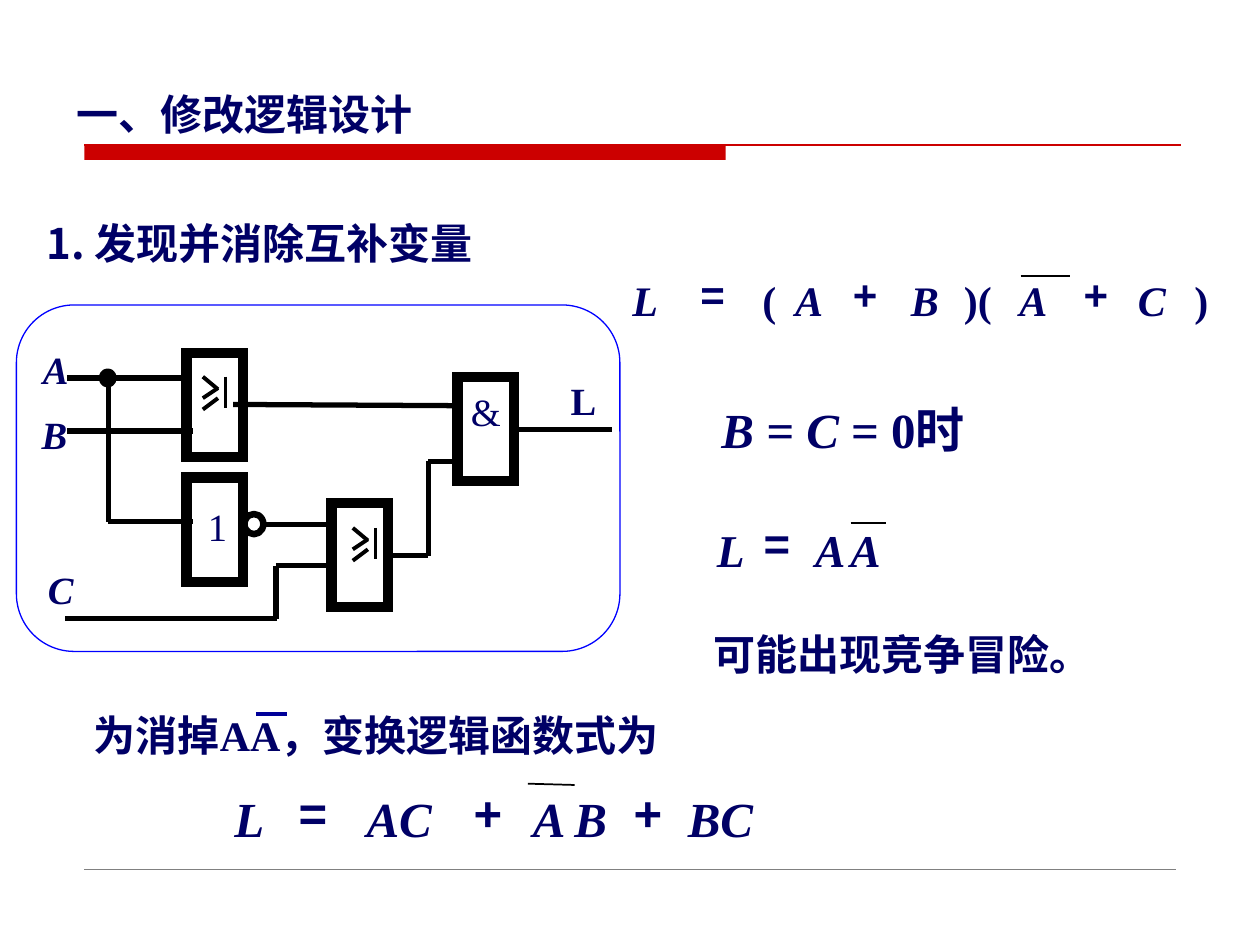
from pptx import Presentation
from pptx.dml.color import RGBColor
from pptx.enum.shapes import MSO_CONNECTOR, MSO_SHAPE
from pptx.enum.text import MSO_ANCHOR, PP_ALIGN
from pptx.oxml.ns import qn
from pptx.util import Pt
from lxml import etree

PX = 9144  # 100 px to the inch
STRAIGHT = MSO_CONNECTOR.STRAIGHT
RECTANGLE, ROUNDED, OVAL = MSO_SHAPE.RECTANGLE, MSO_SHAPE.ROUNDED_RECTANGLE, MSO_SHAPE.OVAL
LEFT, CENTER = PP_ALIGN.LEFT, PP_ALIGN.CENTER
SERIF, SANS, CHINESE = "Times New Roman", "Arial", "Noto Sans CJK SC"
COLORS = {"text": "000066", "red": "CC0000", "rule": "808080", "frame": "0000FF",
          "wire": "000000", "bar": "000099"}

presentation = Presentation()
presentation.slide_width, presentation.slide_height = 1000 * PX, 750 * PX
slide = presentation.slides.add_slide(presentation.slide_layouts[6])


def add_line(x1, y1, x2, y2, width=3, color="wire"):
    line = slide.shapes.add_connector(STRAIGHT, x1 * PX, y1 * PX, x2 * PX, y2 * PX)
    line.line.width = Pt(width)
    line.line.color.rgb = RGBColor.from_string(COLORS[color])
    etree.SubElement(line._element.spPr, qn("a:effectLst"))


def add_text(text, left, top, width, height, size, font=SERIF, align=LEFT,
             bold=True, italic=False, inset=0, wrap=False):
    box = slide.shapes.add_textbox(left * PX, top * PX, width * PX, height * PX)
    frame = box.text_frame
    frame.word_wrap = wrap
    frame.margin_left = frame.margin_right = 2 * inset * PX
    frame.margin_top = frame.margin_bottom = inset * PX
    paragraph = frame.paragraphs[0]
    paragraph.text = text
    paragraph.alignment = align
    paragraph.font.name = font
    paragraph.font.size = Pt(size)
    paragraph.font.bold, paragraph.font.italic = bold, italic
    paragraph.font.color.rgb = RGBColor.from_string(COLORS["text"])
    latin = paragraph._p.pPr.find(qn("a:defRPr")).find(qn("a:latin"))
    latin.addnext(etree.Element(qn("a:ea"), typeface=CHINESE))
    return box


# Title bar and footer rule
bar = slide.shapes.add_shape(RECTANGLE, 67 * PX, 115 * PX, 509 * PX, 12 * PX)
bar.shadow.inherit = False
bar.fill.solid()
bar.fill.fore_color.rgb = RGBColor.from_string(COLORS["red"])
bar.line.fill.background()
add_line(67, 115, 937, 115, 0.75, "red")
add_line(67, 690, 933, 690, 0.25, "rule")

# Headings
for text, left, top, width in [("一、修改逻辑设计", 51, 62, 400),
                               ("1. 发现并消除互补变量", 27, 164, 407)]:
    heading = add_text(text, left, top, width, 57, 24, CHINESE, inset=5, wrap=True)
    heading.text_frame.vertical_anchor = MSO_ANCHOR.MIDDLE

# Circuit outlines: frame, four gates, junction dot, inverter bubble
outlines = [(ROUNDED, 13, 242, 479, 275, 0.75, "frame")]
outlines += [(RECTANGLE, x, y, 45, 83, 5.87, "wire")
             for x, y in [(148, 280), (148, 379), (263, 399), (363, 299)]]
outlines += [(OVAL, 81, 295, 9, 10, 3.75, "wire"), (OVAL, 194, 408, 15, 16, 3.75, "wire")]
for kind, left, top, width, height, weight, color in outlines:
    shape = slide.shapes.add_shape(kind, left * PX, top * PX, width * PX, height * PX)
    shape.shadow.inherit = False
    shape.fill.background()
    shape.line.width = Pt(weight)
    shape.line.color.rgb = RGBColor.from_string(COLORS[color])
    if kind == RECTANGLE:  # square corners
        etree.SubElement(shape._element.spPr.find(qn("a:ln")), qn("a:miter"), lim="800000")

# Wires
for wire in [
    (53, 300, 146, 300), (53, 342, 153, 342),                        # inputs A and B
    (86, 300, 86, 414), (86, 414, 153, 414), (209, 416, 264, 416),   # A to inverter
    (52, 491, 220, 491), (219, 491, 219, 449), (219, 449, 260, 449), # input C
    (185, 321, 363, 322),                                            # upper OR to AND
    (307, 441, 340, 441), (340, 441, 340, 366), (340, 366, 363, 366),# lower OR to AND
    (410, 341, 486, 341),                                            # output L
]:
    add_line(*wire)

# "Greater or equal, 1" signs in the OR gates
for x, y in [(161, 299), (280, 419)]:
    add_line(x, y, x + 12, y + 10, 2.25)
    add_line(x, y + 17, x + 12, y + 9, 2.25)
    add_line(x, y + 26, x + 12, y + 17, 2.25)
    add_line(x + 18, y, x + 18, y + 25, 2.25)

# Circuit labels
for text, left, top, width, bold, italic in [
    ("A", 34, 275, 20, True, True), ("B", 33, 326, 20, True, True),
    ("C", 38, 449, 20, True, True), ("L", 453, 299, 20, True, False),
    ("1", 165, 399, 15, False, False), ("&", 369, 308, 33, False, False),
]:
    add_text(text, left, top, width, 37, 22, align=CENTER, bold=bold, italic=italic)

# Formulas: size, letter top, height, symbols as (text, left, width)
formulas = [
    (24, 218, 40, [("L", 502, 20), ("=", 556, 27), ("(", 605, 11), ("A", 631, 22),
                   ("+", 677, 20), ("B", 723, 22), (")(", 765, 30), ("A", 809, 22),
                   ("+", 860, 20), ("C", 903, 22), (")", 948, 11)]),
    (26, 414, 43, [("L", 569, 22), ("=", 606, 29), ("A", 647, 24), ("A", 675, 24)]),
    (28, 626, 47, [("L", 186, 24), ("=", 237, 31), ("AC", 291, 56), ("+", 376, 23),
                   ("A", 423, 26), ("B", 456, 26), ("+", 503, 26), ("BC", 546, 56)]),
]
for size, top, height, symbols in formulas:
    for text, left, width in symbols:
        if text in "=+":  # operators sit slightly higher
            add_text(text, left, top - 5, width, height, size, SANS, wrap=True)
        else:
            add_text(text, left, top, width, height, size, italic=text.isalpha(), wrap=True)

# Overbars
add_line(810, 219, 849, 219, 1.25)
add_line(675, 415, 703, 415, 1.25)
add_line(419, 622, 456, 623, 1)
add_line(203, 567, 228, 567, 2.25, "bar")

# Explanations
condition = add_text("", 539, 312, 260, 57, 28, align=CENTER, inset=5, wrap=True)
paragraph = condition.text_frame.paragraphs[0]
for text, italic in [("B = C", True), (" = 0时", False)]:
    run = paragraph.add_run()
    run.text = text
    run.font.italic = italic
add_text("可能出现竞争冒险。", 556, 494, 320, 50, 24, align=CENTER, inset=5, wrap=True)
add_text("为消掉AA，变换逻辑函数式为", 48, 558, 501, 50, 24, align=CENTER, inset=5, wrap=True)

presentation.save("out.pptx")
